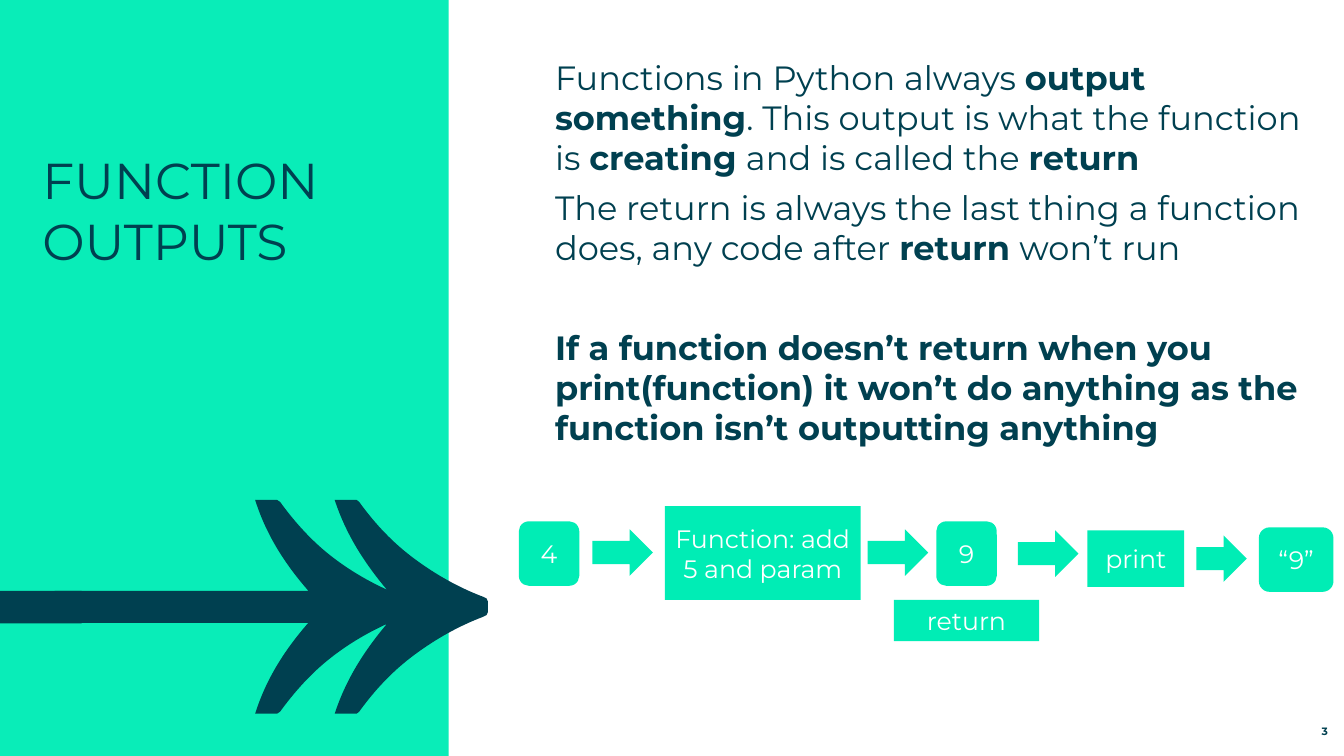
from lxml import etree
from pptx import Presentation
from pptx.dml.color import RGBColor
from pptx.enum.shapes import MSO_SHAPE
from pptx.enum.text import MSO_ANCHOR, PP_ALIGN
from pptx.oxml.ns import qn
from pptx.util import Inches, Pt

RECT, ROUND = MSO_SHAPE.RECTANGLE, MSO_SHAPE.ROUNDED_RECTANGLE
ARROW = MSO_SHAPE.RIGHT_ARROW
TOP, MID, LOW = MSO_ANCHOR.TOP, MSO_ANCHOR.MIDDLE, MSO_ANCHOR.BOTTOM
LEFT, MIDDLE, RIGHT = PP_ALIGN.LEFT, PP_ALIGN.CENTER, PP_ALIGN.RIGHT
WIDE, HIGH = 13.33, 7.5
MINT, LIME, NAVY, WHITE = "09EDB8", "00EDB5", "004050", "FFFFFF"
FONT = "Montserrat"


def color(code):
    return RGBColor.from_string(code)


def part(box, x, y, w, h):
    """Box inside a box, from percentages of its width and height."""
    left, top, wide, high = box
    return (left + wide * x / 100, top + high * y / 100,
            wide * w / 100, high * h / 100)


def paint(shape, fill):
    shape.shadow.inherit = False
    shape.fill.solid()
    shape.fill.fore_color.rgb = color(fill)
    shape.line.fill.background()


def block(slide, kind, box, fill):
    shape = slide.shapes.add_shape(kind, *map(Inches, box))
    paint(shape, fill)
    return shape


def write(shape, paras, size=18, ink=NAVY, align=LEFT, anchor=TOP,
          inset=0, after=0):
    """Each paragraph is (space before, [(text, bold), ...])."""
    frame = shape.text_frame
    frame.word_wrap = True
    frame.vertical_anchor = anchor
    frame.margin_left = frame.margin_right = Inches(inset)
    frame.margin_top = frame.margin_bottom = 0
    for i, (before, runs) in enumerate(paras):
        para = frame.add_paragraph() if i else frame.paragraphs[0]
        para.alignment = align
        para.space_before, para.space_after = Pt(before), Pt(after)
        for text, bold in runs:
            run = para.add_run()
            run.text = text
            font = run.font
            font.name, font.size, font.bold = FONT, Pt(size), bold
            font.color.rgb = color(ink)


def label(slide, box, paras, **style):
    write(slide.shapes.add_textbox(*map(Inches, box)), paras, **style)


def bend(shape, sizes):
    """Join each run of three line points into one cubic curve."""
    lines = iter(list(shape.element.iter(qn("a:lnTo"))))
    for size in sizes:
        group = [next(lines) for _ in range(size)]
        if size == 3:
            cubic = etree.Element(qn("a:cubicBezTo"))
            group[0].addprevious(cubic)
            for line in group:
                cubic.append(line[0])
                line.getparent().remove(line)


def dart(slide, box):
    """Feathered arrow: the upper edge, then its mirror image."""
    steps = [
        [(63.2, 42.5)],
        [(58.3, 29.7), (54.5, 16), (52.3, 0)],
        [(56.8, 0)],
        [(57.4, 0.9)],
        [(60.1, 9.4), (63.2, 17.5), (66.9, 24.5)],
        [(70.7, 31.6), (74.8, 37.3), (79.3, 42)],
        [(74.6, 29.2), (70.9, 16), (68.6, 0)],
        [(73.1, 0)],
        [(73.6, 0.9)],
        [(76.9, 11.3), (80.6, 20.3), (85.1, 27.8)],
        [(89.3, 34.9), (94, 41), (99, 45.3)],
        [(99.6, 45.5), (100, 46.5), (100, 47.6)],
    ]
    edge = [(11.2, 42.5)] + [spot for step in steps for spot in step]
    edge += [(x, 100 - y) for x, y in reversed(edge)]
    sizes = [len(step) for step in steps]
    spots = [tuple(map(Inches, part(box, x, y, 0, 0)[:2])) for x, y in edge]
    form = slide.shapes.build_freeform(*spots[0])
    form.add_line_segments(spots[1:], close=True)
    shape = form.convert_to_shape()
    bend(shape, sizes + [1] + sizes[::-1])
    paint(shape, NAVY)
    # Shaft up to the left edge
    block(slide, RECT, part(box, 0, 42.5, 16.74, 15.2), NAVY)


def panel(slide, box):
    block(slide, RECT, box, MINT)
    block(slide, RECT, part(box, 18.65, 11.2, 9.44, 1.6), MINT)
    dart(slide, part(box, 0, 66.13, 108.76, 28.27))
    label(slide, part(box, 9.44, 19.73, 84.72, 40.13),
          [(0, [("FUNCTION OUTPUTS", False)])], size=36)


def story(slide, box):
    label(slide, box, [
        (0, [("Functions in Python always ", False),
             ("output something", True),
             (". This output is what the function is ", False),
             ("creating ", True), ("and is called the ", False),
             ("return", True)]),
        (0, [("The return is always the last thing a function does, "
              "any code after ", False),
             ("return ", True), ("won’t run", False)]),
        (35.75, [("If a function doesn’t return when you print(function) "
                  "it won’t do anything as the function isn’t outputting "
                  "anything", True)]),
    ], size=24, after=6.5)


def flow(slide, box):
    # Steps: kind, text, place
    for kind, text, place in [
        (RECT, "Function: add 5 and param", (17.95, 0, 24.01, 69.4)),
        (ROUND, "4", (0, 11.19, 7.43, 47.76)),
        (ROUND, "9", (51.24, 11.19, 7.43, 47.76)),
        (RECT, "return", (46.04, 69.4, 17.82, 30.6)),
        (RECT, "print", (69.8, 17.91, 11.88, 41.79)),
        (ROUND, "“9”", (90.84, 15.67, 9.16, 47.76)),
    ]:
        step = block(slide, kind, part(box, *place), LIME)
        write(step, [(0, [(text, False)])], ink=WHITE, align=MIDDLE,
              anchor=MID, inset=0.05)
    # Arrows between the steps
    for x, y, w in [(9.03, 17.16, 7.43), (42.82, 17.16, 7.43),
                    (61.26, 17.91, 7.43), (83.17, 21.64, 6.19)]:
        block(slide, ARROW, part(box, x, y, w, 34.33), LIME)


def main():
    deck = Presentation()
    deck.slide_width, deck.slide_height = Inches(WIDE), Inches(HIGH)
    slide = deck.slides.add_slide(deck.slide_layouts[6])
    page = (0, 0, WIDE, HIGH)
    panel(slide, part(page, 0, 0, 33.38, 100))
    story(slide, part(page, 41.3, 7.5, 55.51, 74.53))
    flow(slide, part(page, 38.6, 66.96, 60.62, 17.87))
    # Page number
    label(slide, part(page, 92.35, 94.93, 6.45, 2.67),
          [(0, [("3", True)])], size=7.6, align=RIGHT, anchor=LOW)
    deck.save("out.pptx")


if __name__ == "__main__":
    main()
